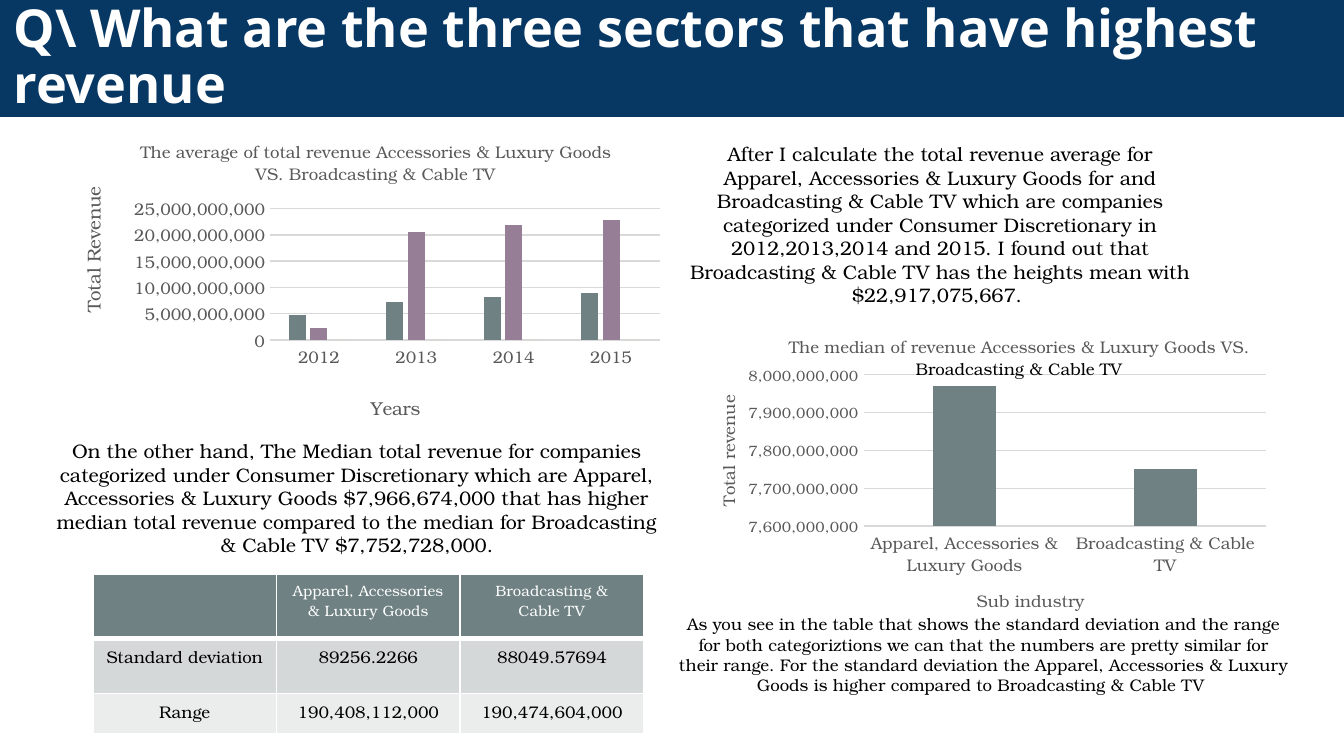
from lxml import etree
from pptx import Presentation
from pptx.chart.data import CategoryChartData
from pptx.dml.color import RGBColor
from pptx.enum.chart import XL_CHART_TYPE, XL_TICK_MARK
from pptx.enum.text import MSO_ANCHOR, PP_ALIGN
from pptx.oxml import parse_xml
from pptx.oxml.ns import nsdecls, qn
from pptx.util import Inches, Pt

FONT = "TeX Gyre Bonum"
COLORS = {
    "navy": "073763", "white": "FFFFFF", "black": "000000",
    "gray": "595959", "grid": "D9D9D9",
    "teal": "6F8183", "mauve": "967E96", "sand": "CCC893",
    "band1": "D5D8D9", "band2": "EBEDED",
}

# Content
TITLE = "Q\\ What are the three sectors that have highest revenue"
PARAGRAPHS = [  # box (left, top, width, height), size, text
    ((5, 1.01, 3.99, 1.34), 10.5,
     "After I calculate the total revenue average for Apparel, Accessories & "
     "Luxury Goods for and Broadcasting & Cable TV which are companies "
     "categorized under Consumer Discretionary in 2012,2013,2014 and 2015. "
     "I found out that Broadcasting & Cable TV has the heights mean with "
     "$22,917,075,667. "),
    ((0.31, 3.22, 4.69, 0.98), 10.5,
     "On the other hand, The Median total revenue for companies categorized "
     "under Consumer Discretionary which are Apparel, Accessories & Luxury "
     "Goods $7,966,674,000 that has higher median total revenue compared to "
     "the median for Broadcasting & Cable TV $7,752,728,000."),
    ((4.94, 4.52, 4.75, 1.06), 9,
     "As you see in the table that shows the standard deviation and the range "
     "for both categoriztions we can that the numbers are pretty similar for "
     "their range. For the standard deviation the Apparel, Accessories & "
     "Luxury Goods is higher compared to Broadcasting & Cable TV "),
]
# Titles hold (lines with colours, size, position as share of the chart)
CHARTS = [
    {"box": (0.47, 0.9, 4.53, 2.33), "plot": (0.34, 0.28, 0.64, 0.42),
     "title": ([("The average of total revenue Accessories & Luxury Goods", "gray"),
                ("VS. Broadcasting & Cable TV", "gray")], 9, (0.12, 0.04)),
     "x_title": ([("Years", "gray")], 10, (0.5, 0.86)),
     "y_title": ([("Total Revenue", "gray")], 10, (0.02, 0.2)),
     "y_size": 9, "scale": (0, 25e9, 5e9),
     "cats": ["2012", "2013", "2014", "2015"],
     "series": [("Series 1", "teal", (4.8e9, 7.2e9, 8.1e9, 9e9)),
                ("Series 2", "mauve", (2.3e9, 20.5e9, 21.8e9, 22.9e9)),
                ("Series 3", "sand", (0, 0, 0, 0))]},
    {"box": (5.16, 2.42, 4.53, 2.17), "plot": (0.28, 0.17, 0.66, 0.52),
     "title": ([("The median of revenue Accessories & Luxury Goods VS.", "gray"),
                ("Broadcasting & Cable TV", "black")], 9, (0.15, 0.01)),
     "x_title": ([("Sub industry", "gray")], 9, (0.46, 0.89)),
     "y_title": ([("Total revenue", "gray")], 9, (0.03, 0.23)),
     "y_size": 8, "scale": (7.6e9, 8e9, 0.1e9),
     "cats": ["Apparel, Accessories & Luxury Goods", "Broadcasting & Cable TV"],
     "series": [("Series 1", "teal", (7.97e9, 7.75e9))]},
]
TABLE = [  # row height, fill, text colour, size, side margin, cells
    (0.48, "teal", "white", 8, 0.1,
     ["", "Apparel, Accessories & Luxury Goods", "Broadcasting & Cable TV"]),
    (0.41, "band1", "black", 9, 0.08,
     ["Standard deviation", "89256.2266", "88049.57694"]),
    (0.3, "band2", "black", 9, 0.08,
     ["Range", "190,408,112,000", "190,474,604,000"]),
]


def rgb(name):
    return RGBColor.from_string(COLORS[name])


def style(font, size, color, name=FONT, bold=False):
    font.size, font.name, font.bold = Pt(size), name, bold
    font.color.rgb = rgb(color)


def add_text(p, text, size, color):
    p.alignment = PP_ALIGN.CENTER
    r = p.add_run()
    r.text = text
    style(r.font, size, color)


def set_layout(parent, index, values, inner=False):
    """Give a chart part a manual place, as shares of the chart area."""
    for old in parent.findall(qn("c:layout")):
        parent.remove(old)
    layout = etree.Element(qn("c:layout"))
    manual = etree.SubElement(layout, qn("c:manualLayout"))
    items = [("layoutTarget", "inner")] if inner else []
    items += [("xMode", "edge"), ("yMode", "edge")] + list(zip("xywh", values))
    for tag, val in items:
        etree.SubElement(manual, qn("c:" + tag)).set("val", str(val))
    parent.insert(index, layout)


def set_title(title, lines, size, pos, rot="0"):
    tf = title.text_frame
    for i, (text, color) in enumerate(lines):
        p = tf.add_paragraph() if i else tf.paragraphs[0]
        add_text(p, text, size, color)
    body = title._element.find(".//" + qn("a:bodyPr"))
    body.set("rot", rot)
    body.set("vert", "horz")
    set_layout(title._element, 1, pos)


def add_column_chart(s, item):
    data = CategoryChartData(number_format="#,##0")
    data.categories = item["cats"]
    for name, _, vals in item["series"]:
        data.add_series(name, vals)
    chart = s.shapes.add_chart(XL_CHART_TYPE.COLUMN_CLUSTERED,
                               *map(Inches, item["box"]), data).chart
    style(chart.font, 10, "black")
    chart.has_legend = False
    chart.has_title = True
    set_title(chart.chart_title, *item["title"])

    plot = chart.plots[0]
    plot.gap_width, plot.overlap, plot.vary_by_categories = 219, -27, False
    for ser, (_, color, _) in zip(plot.series, item["series"]):
        ser.format.fill.solid()
        ser.format.fill.fore_color.rgb = rgb(color)

    x, y = chart.category_axis, chart.value_axis
    for axis, size in ((x, 9), (y, item["y_size"])):
        axis.major_tick_mark = axis.minor_tick_mark = XL_TICK_MARK.NONE
        style(axis.tick_labels.font, size, "gray")
    set_title(x.axis_title, *item["x_title"])
    set_title(y.axis_title, *item["y_title"], rot="-5400000")
    y.minimum_scale, y.maximum_scale, y.major_unit = item["scale"]
    y.tick_labels.number_format = "#,##0"
    y.tick_labels.number_format_is_linked = False
    y.has_major_gridlines = True
    y.format.line.fill.background()
    for line in (x.format.line, y.major_gridlines.format.line):
        line.color.rgb, line.width = rgb("grid"), Pt(0.75)
    set_layout(chart._chartSpace.find(".//" + qn("c:plotArea")), 0,
               item["plot"], inner=True)


def set_borders(cell, bottom):
    tcPr = cell._tc.get_or_add_tcPr()
    for i, (side, width) in enumerate(zip("LRTB", (1, 1, 1, bottom))):
        tcPr.insert(i, parse_xml(
            f'<a:ln{side} {nsdecls("a")} w="{Pt(width)}"><a:solidFill>'
            f'<a:srgbClr val="{COLORS["white"]}"/></a:solidFill></a:ln{side}>'))


# Slide in 16:9
prs = Presentation()
prs.slide_width = Inches(10)
prs.slide_height = Inches(10) * 9 // 16
s = prs.slides.add_slide(prs.slide_layouts[5])

# Title band
sp = s.shapes.title
sp.left, sp.top, sp.width, sp.height = map(Inches, (0, 0, 10, 0.87))
sp.fill.solid()
sp.fill.fore_color.rgb = rgb("navy")
tf = sp.text_frame
tf.word_wrap, tf.vertical_anchor = True, MSO_ANCHOR.MIDDLE
tf.margin_left = tf.margin_right = tf.margin_top = tf.margin_bottom = Inches(0.1)
p = tf.paragraphs[0]
p.alignment, p.line_spacing = PP_ALIGN.LEFT, 0.9
r = p.add_run()
r.text = TITLE
style(r.font, 28, "white", "Open Sans", True)

# Charts
for item in CHARTS:
    add_column_chart(s, item)

# Paragraphs
for box, size, text in PARAGRAPHS:
    tf = s.shapes.add_textbox(*map(Inches, box)).text_frame
    tf.word_wrap = True
    add_text(tf.paragraphs[0], text, size, "black")

# Table
table = s.shapes.add_table(len(TABLE), 3, Inches(0.69), Inches(4.27),
                           Inches(4.1), Inches(1.19)).table
for i, (height, fill, color, size, margin, texts) in enumerate(TABLE):
    table.rows[i].height = Inches(height)
    for cell, text in zip(table.rows[i].cells, texts):
        cell.margin_left = cell.margin_right = Inches(margin)
        cell.fill.solid()
        cell.fill.fore_color.rgb = rgb(fill)
        set_borders(cell, bottom=1 if i else 3)
        if text:
            add_text(cell.text_frame.paragraphs[0], text, size, color)

prs.save("out.pptx")
